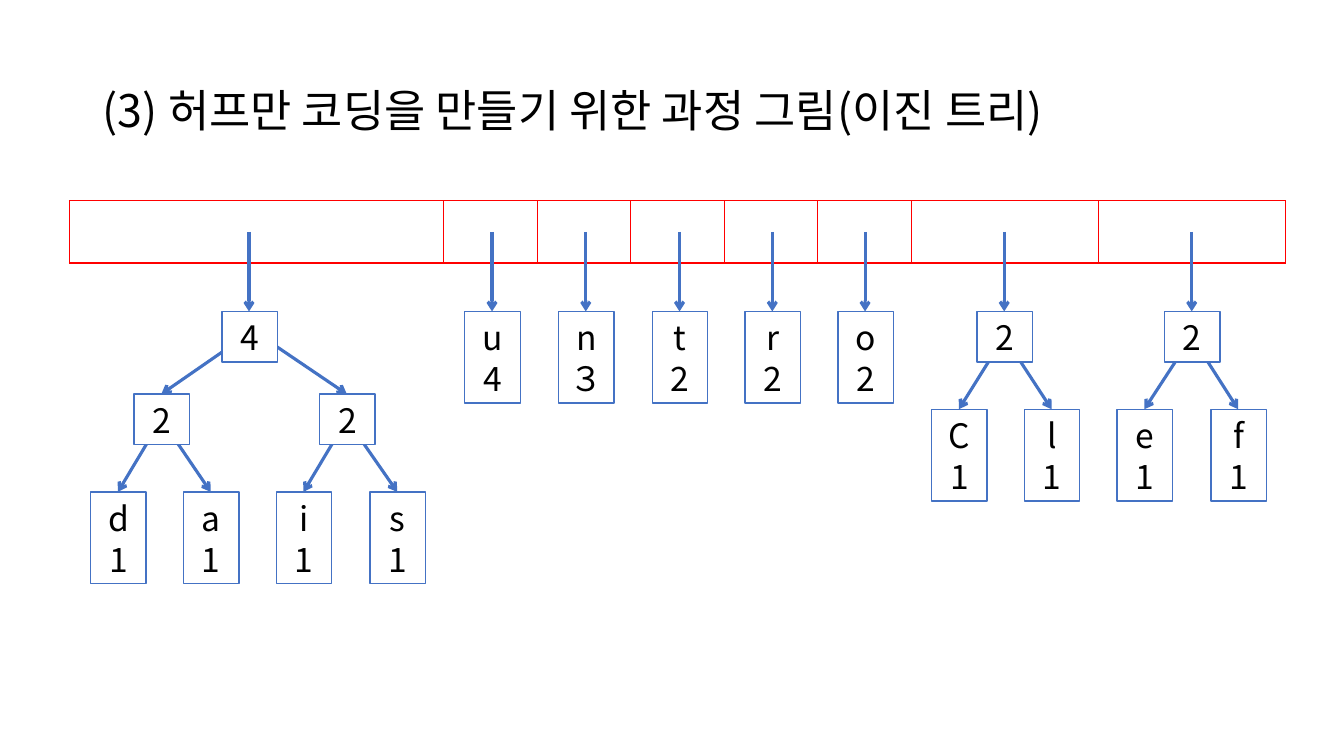
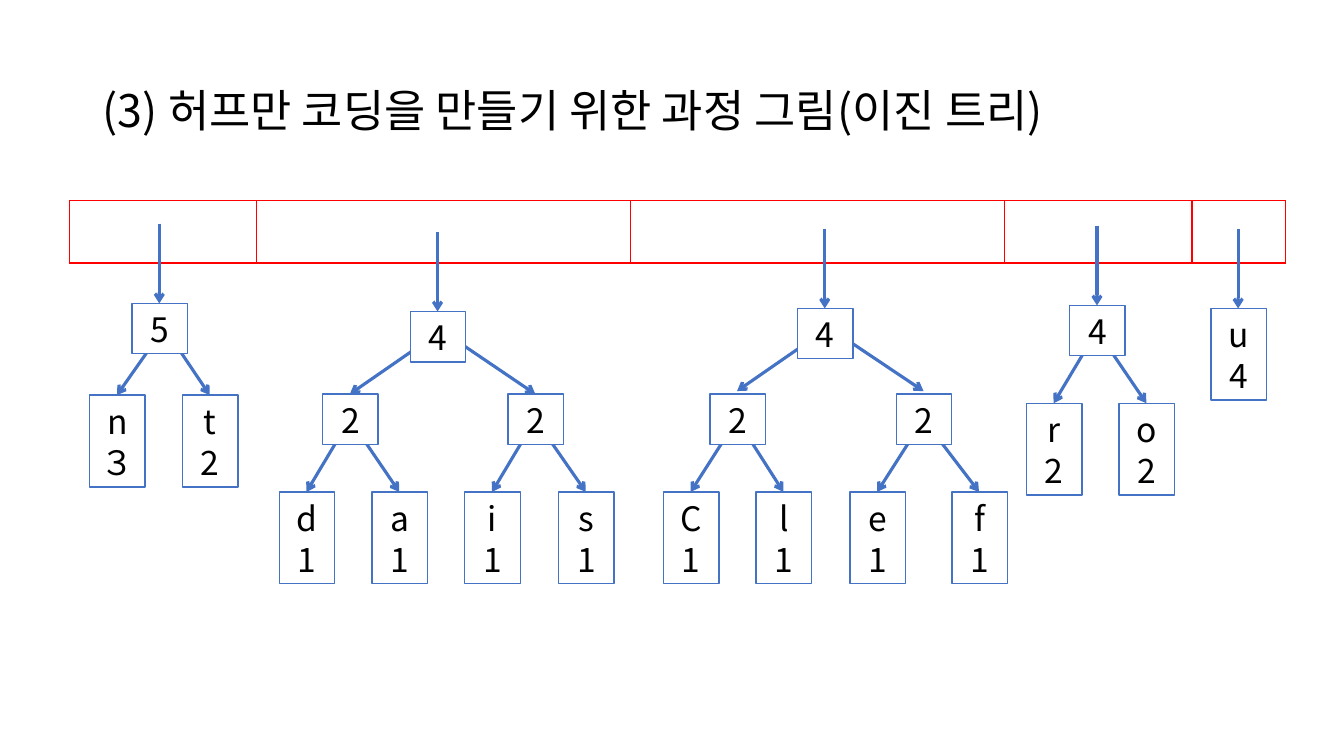
import pptx
import pptx.dml.color
import pptx.enum.shapes
import pptx.enum.text
import pptx.oxml.ns
import pptx.util
import lxml.etree

PX = 9144
FONT = "Noto Sans CJK KR"
BLACK, WHITE, RED, BLUE = "000000", "FFFFFF", "FF0000", "4472C4"
TITLE = "(3) 허프만 코딩을 만들기 위한 과정 그림(이진 트리)"
TITLE_BOX = (92, 40, 1150, 145)
BAR_BOX = (69, 199, 1206, 62)
NODE_W, INNER_H, LEAF_H, STEM = 55, 50, 91, 79
MIDDLE = NODE_W // 2
ANCHOR = pptx.enum.text.MSO_ANCHOR
ALIGN = pptx.enum.text.PP_ALIGN
AUTO = pptx.enum.text.MSO_AUTO_SIZE

TITLE_FRAME = {"word_wrap": True, "vertical_anchor": ANCHOR.MIDDLE,
               "auto_size": AUTO.NONE}
TITLE_PARAGRAPH = {"alignment": ALIGN.LEFT, "line_spacing": 0.9}
NODE_FRAME = {"word_wrap": True, "vertical_anchor": ANCHOR.TOP,
              "auto_size": AUTO.SHAPE_TO_FIT_TEXT,
              "margin_left": 11 * PX, "margin_right": 11 * PX,
              "margin_top": 5 * PX, "margin_bottom": 5 * PX}
NODE_PARAGRAPH = {"alignment": ALIGN.CENTER, "line_spacing": pptx.util.Pt(29.3)}

# Node: text, left offset from its parent, then its children.
DAIS = ("4", 0,
        ("2", -87, ("d1", -43), ("a1", 49)),
        ("2", 97, ("i 1", -43), ("s 1", 50)))
CLEF = ("4", 0,
        ("2", -87, ("C1", -46), ("l 1", 46)),
        ("2", 98, ("e1", -46), ("f 1", 55)))
QUAD = {"rows": (82, 97), "start": (4, -6)}
PAIR = {"rows": (97,)}

SLIDES = [
    {"cells": [4, 1, 1, 1, 1, 1, 2, 2],
     "trees": [
         (220, 309, DAIS, QUAD),
         (461, 309, ("u4", 0), {}),
         (554, 309, ("n３", 0), {}),
         (647, 309, ("t 2", 0), {}),
         (739, 309, ("r 2", 0), {}),
         (831, 309, ("o2", 0), {}),
         (969, 309, ("2", 0, ("C1", -45), ("l 1", 47)), PAIR),
         (1155, 309, ("2", 0, ("e1", -47), ("f 1", 46)), PAIR)]},
    {"cells": [2, 4, 4, 2, 1],
     "trees": [
         (131, 301, ("5", 0, ("n３", -42), ("t 2", 50)),
          {"rows": (91,), "start": (5, -1)}),
         (407, 309, DAIS, QUAD),
         (791, 306, CLEF, {"rows": (85, 97), "start": (4, -6), "lift": 3}),
         (1061, 303, ("4", 0, ("r 2", -43), ("o2", 49)), PAIR),
         (1201, 306, ("u4", 0), {})]},
]


def px(*lengths):
    return [n * PX for n in lengths]


def color(value):
    return pptx.dml.color.RGBColor.from_string(value)


def sub(parent, tag, **attributes):
    return lxml.etree.SubElement(parent, pptx.oxml.ns.qn(tag), attributes)


def apply(target, formats):
    for name, value in formats.items():
        setattr(target, name, value)


def write(tf, text, size, frame, paragraph):
    apply(tf, frame)
    p = tf.paragraphs[0]
    apply(p, paragraph)
    r = p.add_run()
    r.text = text
    apply(r.font, {"size": pptx.util.Pt(size), "name": FONT})
    r.font.color.rgb = color(BLACK)
    latin = r.font._element.find(pptx.oxml.ns.qn("a:latin"))
    latin.addnext(sub(latin.getparent(), "a:ea", typeface=FONT))


def title(s, box):
    sp = s.shapes.title
    apply(sp, dict(zip(("left", "top", "width", "height"), px(*box))))
    write(sp.text_frame, TITLE, 32, TITLE_FRAME, TITLE_PARAGRAPH)


def bar(s, box, cells):
    table = s.shapes.add_table(1, len(cells), *px(*box)).table
    apply(table, {"first_row": False, "horz_banding": False})
    for column, cell, share in zip(table.columns, table.rows[0].cells, cells):
        column.width = round(box[2] * PX * share / sum(cells))
        tc_pr = cell._tc.get_or_add_tcPr()
        for side in ("L", "R", "T", "B"):
            ln = sub(tc_pr, f"a:ln{side}", w=str(pptx.util.Pt(1)))
            sub(sub(ln, "a:solidFill"), "a:srgbClr", val=RED)
        cell.fill.solid()
        cell.fill.fore_color.rgb = color(WHITE)


def arrow(s, x1, y1, x2, y2):
    sp = s.shapes.add_connector(
        pptx.enum.shapes.MSO_CONNECTOR.STRAIGHT, *px(x1, y1, x2, y2))
    sp.line.color.rgb = color(BLUE)
    sp.line.width = pptx.util.Pt(2.25)
    sp_pr = sp.element.spPr
    sub(sp_pr.find(pptx.oxml.ns.qn("a:ln")), "a:tailEnd", type="arrow")
    sub(sp_pr, "a:effectLst")


def node_box(s, left, top, height, text):
    sp = s.shapes.add_shape(pptx.enum.shapes.MSO_SHAPE.RECTANGLE,
                            *px(left, top, NODE_W, height))
    sp.shadow.inherit = False
    sp.fill.solid()
    sp.fill.fore_color.rgb = color(WHITE)
    sp.line.color.rgb = color(BLUE)
    sp.line.width = pptx.util.Pt(1)
    write(sp.text_frame, text, 24, NODE_FRAME, NODE_PARAGRAPH)


def branch(s, left, top, node, rows=(), start=(0, 0), lift=0):
    text, _, *kids = node
    for kid in kids:
        kid_left, kid_top = left + kid[1], top + rows[0]
        arrow(s, left + MIDDLE + start[0], top + INNER_H // 2 + start[1],
              kid_left + MIDDLE, kid_top - lift)
        branch(s, kid_left, kid_top, kid, rows[1:])
    node_box(s, left, top, INNER_H if kids else LEAF_H, text)


def tree(s, left, top, root, layout):
    branch(s, left, top, root, **layout)
    arrow(s, left + MIDDLE, top - STEM, left + MIDDLE, top)


def tree_slide(prs, cells, trees):
    s = prs.slides.add_slide(prs.slide_layouts[5])
    title(s, TITLE_BOX)
    bar(s, BAR_BOX, cells)
    for left, top, root, layout in trees:
        tree(s, left, top, root, layout)


def main():
    prs = pptx.Presentation()
    prs.slide_width, prs.slide_height = px(1333, 750)
    for content in SLIDES:
        tree_slide(prs, **content)
    prs.save("out.pptx")


if __name__ == "__main__":
    main()
